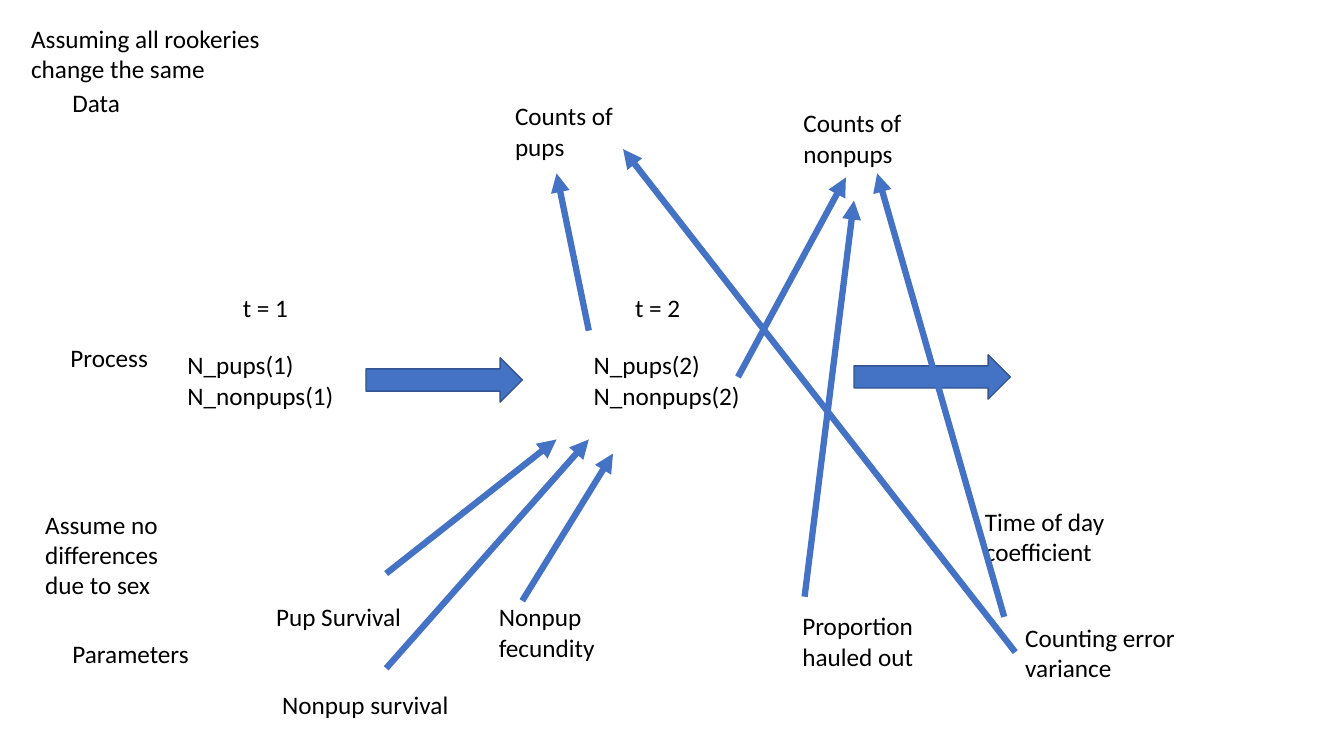
from lxml import etree
from pptx import Presentation
from pptx.dml.color import RGBColor
from pptx.enum.shapes import MSO_CONNECTOR as Connector, MSO_SHAPE as Preset
from pptx.enum.text import MSO_AUTO_SIZE as AutoSize
from pptx.oxml.ns import qn
from pptx.util import Inches, Pt

COLOURS = {"text": "000000", "arrow": "4472C4", "outline": "325491"}
LABEL_FONT = {"name": "Calibri", "size": Pt(18)}
LINE_HEIGHT = 0.3
PADDING = 0.1

SECTION_LABELS = [
    (0.62, 0.82, 1.66, 1, "Data"),
    (0.6, 3.35, 1.66, 1, "Process"),
    (0.62, 6.28, 1.66, 1, "Parameters"),
]
ASSUMPTIONS = [
    (0.21, 0.18, 2.99, 2, "Assuming all rookeries change the same"),
    (0.35, 5, 1.41, 3, "Assume no differences due to sex"),
]
DATA_LABELS = [
    (5.01, 0.95, 1.66, 2, "Counts of pups"),
    (7.87, 1.02, 1.66, 2, "Counts of nonpups"),
]
PARAMETER_LABELS = [
    (2.64, 5.92, 1.66, 1, "Pup Survival"),
    (2.7, 6.79, 2.48, 1, "Nonpup survival"),
    (4.85, 5.92, 1.55, 2, "Nonpup fecundity"),
    (7.86, 6.01, 1.67, 2, "Proportion hauled out"),
    (9.67, 4.97, 1.75, 2, "Time of day\ncoefficient"),
    (10.07, 6.12, 2.98, 2, "Counting error\nvariance"),
]
TIME_STEPS = [(1, 2.31, 1.76), (2, 6.2, 5.79)]
STEP_ARROWS = [(3.63, 3.55), (8.47, 3.52)]
INFLUENCES = [
    ((3.83, 5.69), (5.52, 4.36)),
    ((3.83, 6.63), (5.84, 4.36)),
    ((5.18, 5.96), (6.08, 4.5)),
    ((5.84, 3.28), (5.52, 1.72)),
    ((7.32, 3.74), (8.39, 1.76)),
    ((7.98, 5.92), (8.47, 1.99)),
    ((10.07, 6.47), (6.18, 1.48)),
    ((9.96, 6.12), (8.7, 1.72)),
]


def colour(name):
    return RGBColor.from_string(COLOURS[name])


def add_label(page, left, top, width, lines, text, wrap=True):
    height = lines * LINE_HEIGHT + PADDING
    box = page.shapes.add_textbox(*map(Inches, (left, top, width, height)))
    frame = box.text_frame
    frame.text = text
    frame.word_wrap = wrap
    frame.auto_size = AutoSize.SHAPE_TO_FIT_TEXT
    for para in frame.paragraphs:
        for span in para.runs:
            for key, value in LABEL_FONT.items():
                setattr(span.font, key, value)
            span.font.color.rgb = colour("text")


def add_time_step(page, step, heading_left, state_left):
    add_label(page, heading_left, 2.85, 0.66, 1, f"t = {step}", wrap=False)
    add_label(page, state_left, 3.42, 1.76, 2, f"N_pups({step})\nN_nonpups({step})")


def add_step_arrow(page, left, top):
    arrow = page.shapes.add_shape(
        Preset.RIGHT_ARROW, *map(Inches, (left, top, 1.55, 0.44)))
    arrow.shadow.inherit = False
    arrow.fill.solid()
    arrow.fill.fore_color.rgb = colour("arrow")
    arrow.line.color.rgb = colour("outline")
    arrow.line.width = Pt(1)


def add_influence(page, start, end):
    arrow = page.shapes.add_connector(
        Connector.STRAIGHT, *map(Inches, (*start, *end)))
    arrow.line.color.rgb = colour("arrow")
    arrow.line.width = Pt(4.5)
    properties = arrow.element.spPr
    etree.SubElement(properties.find(qn("a:ln")), qn("a:tailEnd"), type="triangle")
    etree.SubElement(properties, qn("a:effectLst"))


def main():
    deck = Presentation()
    deck.slide_width = Inches(13.33)
    deck.slide_height = Inches(7.5)
    page = deck.slides.add_slide(deck.slide_layouts[6])
    for label in SECTION_LABELS + ASSUMPTIONS + DATA_LABELS + PARAMETER_LABELS:
        add_label(page, *label)
    for time_step in TIME_STEPS:
        add_time_step(page, *time_step)
    for position in STEP_ARROWS:
        add_step_arrow(page, *position)
    for start, end in INFLUENCES:
        add_influence(page, start, end)
    deck.save("out.pptx")


if __name__ == "__main__":
    main()
